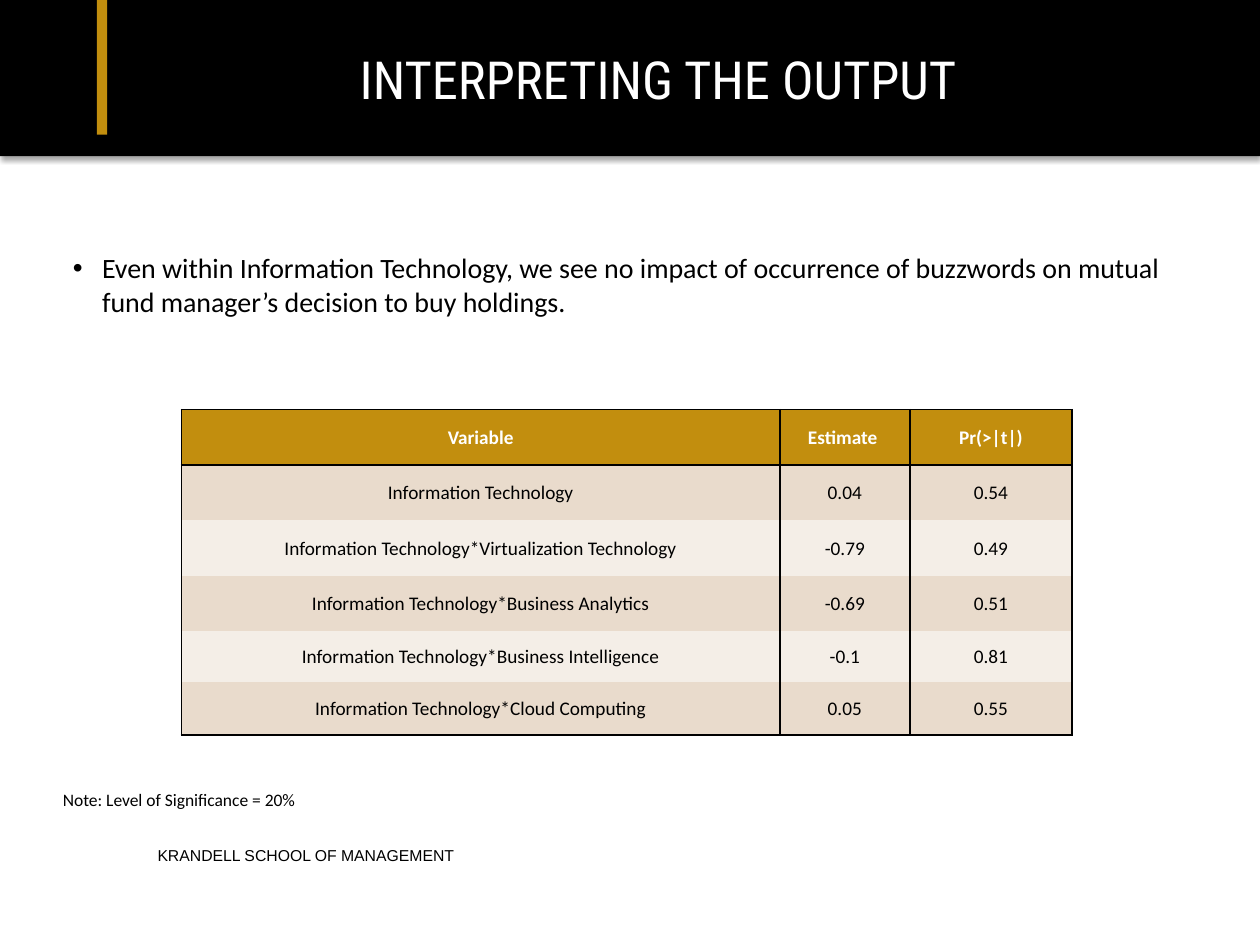
import pptx
import pptx.dml.color
import pptx.enum.shapes
import pptx.enum.text
import pptx.oxml
import pptx.oxml.ns
import pptx.util

Pt = pptx.util.Pt
RGBColor = pptx.dml.color.RGBColor
ALIGN = pptx.enum.text.PP_ALIGN
ANCHOR = pptx.enum.text.MSO_ANCHOR

BLACK = RGBColor(0x00, 0x00, 0x00)
WHITE = RGBColor(0xFF, 0xFF, 0xFF)
GOLD = RGBColor(0xC2, 0x8E, 0x0E)
TAN = RGBColor(0xE9, 0xDB, 0xCC)
CREAM = RGBColor(0xF4, 0xEE, 0xE7)

COLUMN_WIDTHS = [342, 74.2, 92.8]
ROW_HEIGHTS = [31.7, 31.7, 31.7, 31.7, 29, 30.3]
RESULTS = [
    ("Variable", "Estimate ", "Pr(>|t|)"),
    ("Information Technology", "0.04", "0.54"),
    ("Information Technology*Virtualization Technology", "-0.79", "0.49"),
    ("Information Technology*Business Analytics", "-0.69", "0.51"),
    ("Information Technology*Business Intelligence", "-0.1", "0.81"),
    ("Information Technology*Cloud Computing", "0.05", "0.55"),
]


def parse(xml):
    """Parse a drawing fragment whose first tag still lacks its namespace."""
    namespace = pptx.oxml.ns.nsdecls("a")
    end = xml.index(">") if " " not in xml[:xml.index(">")] else xml.index(" ")
    return pptx.oxml.parse_xml(f"{xml[:end]} {namespace}{xml[end:]}")


def add_band(slide, left, top, width, height, color):
    """Add a plain rectangle with a soft shadow beneath it."""
    band = slide.shapes.add_shape(
        pptx.enum.shapes.MSO_SHAPE.RECTANGLE,
        Pt(left), Pt(top), Pt(width), Pt(height))
    band.fill.solid()
    band.fill.fore_color.rgb = color
    band.line.fill.background()
    band.shadow.inherit = False
    effects = band._element.spPr.find(pptx.oxml.ns.qn("a:effectLst"))
    effects.append(parse(
        f'<a:outerShdw blurRad="{Pt(3.1)}" dist="{Pt(1.8)}" dir="5400000" '
        f'rotWithShape="0"><a:srgbClr val="{BLACK}">'
        '<a:alpha val="35000"/></a:srgbClr></a:outerShdw>'))


def write_run(paragraph, text, size, font, color, bold=False):
    run = paragraph.add_run()
    run.text = text
    run.font.size = Pt(size)
    run.font.name = font
    run.font.color.rgb = color
    run.font.bold = bold


def add_text(slide, left, top, width, height, text, size, font, color=BLACK,
             insets=(7.2, 3.6, 7.2, 3.6)):
    """Add a one-paragraph text box and return the paragraph."""
    frame = slide.shapes.add_textbox(
        Pt(left), Pt(top), Pt(width), Pt(height)).text_frame
    frame.word_wrap = True
    (frame.margin_left, frame.margin_top,
     frame.margin_right, frame.margin_bottom) = map(Pt, insets)
    paragraph = frame.paragraphs[0]
    write_run(paragraph, text, size, font, color)
    return paragraph


def add_bullet(paragraph, indent):
    properties = paragraph._p.get_or_add_pPr()
    properties.set("marL", str(Pt(indent)))
    properties.set("indent", str(-Pt(indent)))
    properties.append(parse('<a:buFont typeface="Arial"/>'))
    properties.append(parse('<a:buChar char="•"/>'))


def set_borders(cell, drawn_sides):
    """Draw the given sides (out of L, R, T, B) and clear the others."""
    properties = cell._tc.get_or_add_tcPr()
    for side in "LRTB":
        paint = "<a:noFill/>"
        if side in drawn_sides:
            paint = f'<a:solidFill><a:srgbClr val="{BLACK}"/></a:solidFill>'
        properties.append(parse(
            f'<a:ln{side} w="{Pt(1)}">{paint}</a:ln{side}>'))


def fill_cell(cell, text, color, borders, is_header):
    set_borders(cell, borders)
    cell.fill.solid()
    cell.fill.fore_color.rgb = color
    cell.vertical_anchor = ANCHOR.MIDDLE
    cell.margin_left = cell.margin_right = cell.margin_top = Pt(0.7)
    cell.margin_bottom = 0
    paragraph = cell.text_frame.paragraphs[0]
    paragraph.alignment = ALIGN.CENTER
    write_run(paragraph, text, 11, "Calibri",
              WHITE if is_header else BLACK, bold=is_header)


def add_results_table(slide, left, top):
    table = slide.shapes.add_table(
        len(RESULTS), len(COLUMN_WIDTHS), Pt(left), Pt(top),
        Pt(sum(COLUMN_WIDTHS)), Pt(sum(ROW_HEIGHTS))).table
    table.first_row = table.horz_banding = False
    for column, width in zip(table.columns, COLUMN_WIDTHS):
        column.width = Pt(width)
    for row, height in zip(table.rows, ROW_HEIGHTS):
        row.height = Pt(height)

    last = len(RESULTS) - 1
    for index, values in enumerate(RESULTS):
        is_header = index == 0
        color = GOLD if is_header else TAN if index % 2 else CREAM
        borders = {0: "LRTB", 1: "LRT", last: "LRB"}.get(index, "LR")
        for position, text in enumerate(values):
            fill_cell(table.cell(index, position), text, color, borders,
                      is_header)


def main():
    deck = pptx.Presentation()
    deck.slide_width, deck.slide_height = Pt(720), Pt(540)
    slide = deck.slides.add_slide(deck.slide_layouts[6])

    add_band(slide, 0, 0, 720, 89.3, BLACK)
    add_band(slide, 55.4, 0, 5.8, 77, GOLD)

    finding = add_text(
        slide, 34.6, 120.2, 638, 134,
        "Even within Information Technology, we see no impact of occurrence "
        "of buzzwords on mutual fund manager’s decision to buy holdings.",
        16, "Calibri", insets=(7.2, 23.1, 7.2, 3.6))
    add_bullet(finding, 16.6)

    add_results_table(slide, 103.7, 234)

    school = add_text(slide, 90, 484.6, 395, 19.4,
                      "KRANDELL SCHOOL OF MANAGEMENT", 9, "Arial",
                      insets=(0, 0, 0, 0))
    school.line_spacing = 0.9

    title = add_text(slide, 103.7, 26.6, 545, 41.8,
                     "INTERPRETING THE OUTPUT", 30, "Roboto Condensed", WHITE,
                     insets=(0, 0, 0, 0))
    title.alignment = ALIGN.CENTER

    add_text(slide, 28.8, 447.1, 606.2, 19.4,
             "Note: Level of Significance = 20%", 10, "Calibri")

    deck.save("out.pptx")


if __name__ == "__main__":
    main()
